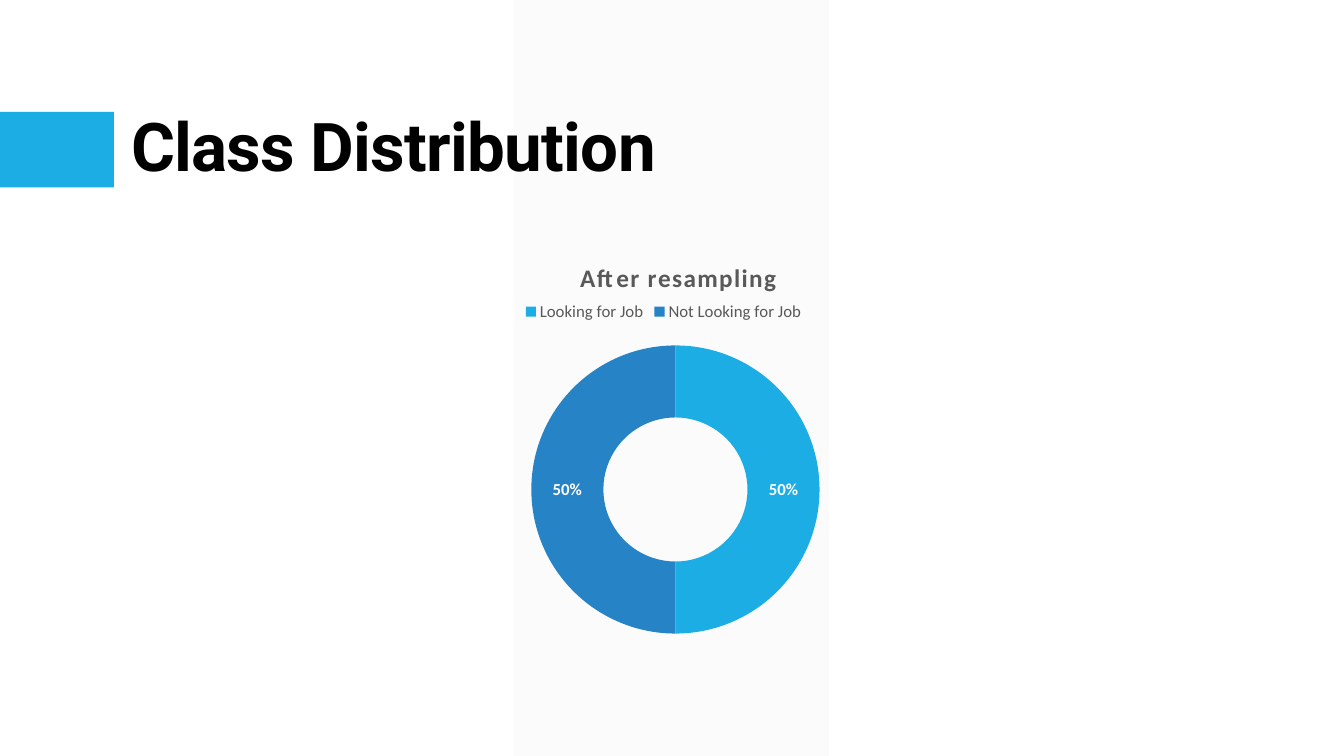
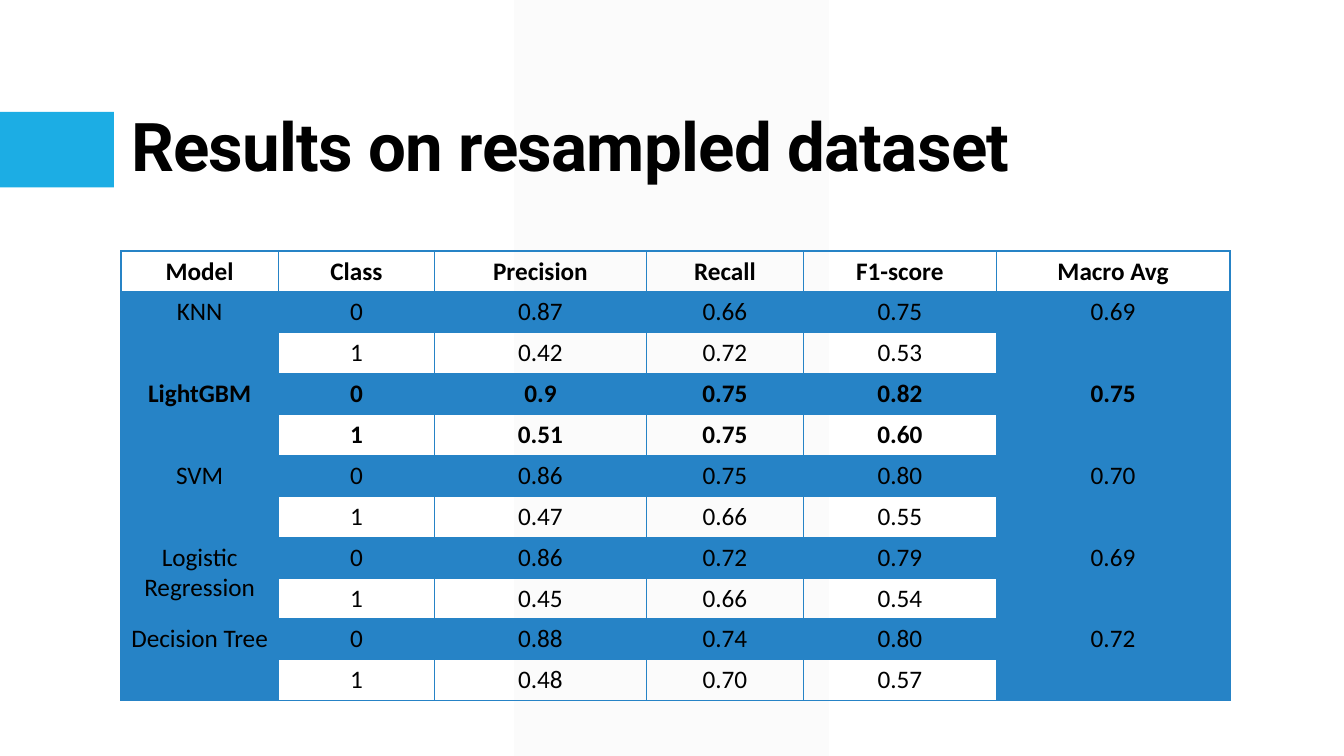
from lxml.etree import SubElement
from pptx import Presentation
from pptx.chart.data import CategoryChartData
from pptx.dml.color import RGBColor
from pptx.enum.chart import XL_CHART_TYPE, XL_LEGEND_POSITION
from pptx.enum.shapes import MSO_SHAPE
from pptx.enum.text import MSO_ANCHOR, PP_ALIGN
from pptx.oxml import parse_xml
from pptx.oxml.ns import nsdecls, qn
from pptx.util import Inches, Pt

# Content
CHART_SLIDE_TITLE = "Class Distribution"
CHART_TITLE = "After resampling"
CLASS_SHARES = {"Looking for Job": 50, "Not Looking for Job": 50}

TABLE_SLIDE_TITLE = "Results on resampled dataset"
HEADERS = ["Model", "Class", "Precision", "Recall", "F1-score", "Macro Avg"]
BEST_MODEL = "LightGBM"
RESULTS = [  # model, scores of class 0, scores of class 1, macro average
    ("KNN", ("0.87", "0.66", "0.75"), ("0.42", "0.72", "0.53"), "0.69"),
    (BEST_MODEL, ("0.9", "0.75", "0.82"), ("0.51", "0.75", "0.60"), "0.75"),
    ("SVM", ("0.86", "0.75", "0.80"), ("0.47", "0.66", "0.55"), "0.70"),
    ("Logistic Regression", ("0.86", "0.72", "0.79"), ("0.45", "0.66", "0.54"), "0.69"),
    ("Decision Tree", ("0.88", "0.74", "0.80"), ("0.48", "0.70", "0.57"), "0.72"),
]

# Shared look
SKY, BLUE, BAND, GREY = "1CADE4", "2683C6", "F2F2F2", "595959"
BLACK, WHITE = "000000", "FFFFFF"
TITLE_FONT, BODY_FONT = "Roboto", "Calibri"
LEFT, CONTENT_WIDTH = 1.2, 11
COLUMN_WIDTHS = [1.56, 1.55, 2.1, 1.56, 1.91, 2.32]
ROW_HEIGHT = 0.4


def color(value):
    return RGBColor.from_string(value)


def style_font(font, size, value, bold=False, name=BODY_FONT):
    font.name, font.size, font.bold = name, Pt(size), bold
    font.color.rgb = color(value)


def fill_solid(fill, value, opacity=100):
    fill.solid()
    fill.fore_color.rgb = color(value)
    if opacity < 100:
        alpha = SubElement(fill._xPr.find(".//" + qn("a:srgbClr")), qn("a:alpha"))
        alpha.set("val", str(opacity * 1000))


def set_border(cell, side, width):
    properties = cell._tc.get_or_add_tcPr()
    line = SubElement(properties, qn("a:ln" + side), w=str(Pt(width)))
    solid = SubElement(line, qn("a:solidFill"))
    SubElement(solid, qn("a:srgbClr"), val=BLUE)


def place_chart_part(element, **fractions):
    """Give a chart part a fixed place, as fractions of the chart frame."""
    old_layout = element.find(qn("c:layout"))
    if old_layout is not None:
        element.remove(old_layout)
    layout = parse_xml(f"<c:layout {nsdecls('c')}><c:manualLayout/></c:layout>")
    manual = layout[0]
    if "w" in fractions:
        SubElement(manual, qn("c:layoutTarget"), val="inner")
    for axis in "xy":
        SubElement(manual, qn(f"c:{axis}Mode"), val="edge")
    for key, fraction in fractions.items():
        SubElement(manual, qn("c:" + key), val=str(fraction))
    overlay = element.find(qn("c:overlay"))
    if overlay is None:
        element.insert(0, layout)
    else:
        overlay.addprevious(layout)


def add_titled_slide(text):
    slide = presentation.slides.add_slide(title_layout)
    title = slide.shapes.title
    title.text_frame.text = text
    title.text_frame.vertical_anchor = MSO_ANCHOR.BOTTOM
    paragraph = title.text_frame.paragraphs[0]
    paragraph.alignment = PP_ALIGN.LEFT
    paragraph.line_spacing = 0.9
    style_font(paragraph.font, 48, BLACK, True, TITLE_FONT)
    paragraph.font._element.set("spc", "-50")
    return slide


def move_to_layout(shape):
    title_layout.shapes._spTree.insert(2, shape._element)


presentation = Presentation()
presentation.slide_width, presentation.slide_height = Inches(13.33), Inches(7.5)
title_layout = presentation.slide_layouts[5]

# Layout: title place only, other placeholders removed
for placeholder in list(title_layout.placeholders):
    if placeholder.placeholder_format.idx == 0:
        placeholder.left, placeholder.top = Inches(LEFT), Inches(0.31)
        placeholder.width, placeholder.height = Inches(CONTENT_WIDTH), Inches(1.59)
    else:
        placeholder._element.getparent().remove(placeholder._element)

chart_slide = add_titled_slide(CHART_SLIDE_TITLE)
table_slide = add_titled_slide(TABLE_SLIDE_TITLE)

# Layout: title marker and pale band, shared by all slides
for kind, left, top, width, height, value, opacity in [
    (MSO_SHAPE.RECTANGLE, 0, 1.11, 1.13, 0.75, SKY, 100),
    (MSO_SHAPE.PARALLELOGRAM, 5.1, 0, 3.12, 7.5, BAND, 30),
]:
    shape = chart_slide.shapes.add_shape(
        kind, Inches(left), Inches(top), Inches(width), Inches(height))
    shape.shadow.inherit = False
    shape.line.fill.background()
    fill_solid(shape.fill, value, opacity)
    if kind == MSO_SHAPE.PARALLELOGRAM:
        shape.adjustments[0] = 0
    move_to_layout(shape)

# Doughnut chart
chart_data = CategoryChartData()
chart_data.categories = list(CLASS_SHARES)
chart_data.add_series("Series 1", list(CLASS_SHARES.values()))
chart = chart_slide.shapes.add_chart(
    XL_CHART_TYPE.DOUGHNUT, Inches(LEFT), Inches(2.29),
    Inches(CONTENT_WIDTH), Inches(4.14), chart_data).chart
style_font(chart.font, 10, BLACK)

chart.has_title = True
chart.chart_title.text_frame.text = CHART_TITLE
title_font = chart.chart_title.text_frame.paragraphs[0].font
style_font(title_font, 18, GREY, True)
title_font._element.set("spc", "100")
place_chart_part(chart.chart_title._element, x=0.41, y=0.06)

chart.has_legend = True
chart.legend.position = XL_LEGEND_POSITION.TOP
chart.legend.include_in_layout = False
style_font(chart.legend.font, 12, GREY)
place_chart_part(chart.legend._element, x=0.36, y=0.16)

plot = chart.plots[0]
plot.vary_by_categories = True
place_chart_part(chart._chartSpace.chart.plotArea, x=0.37, y=0.27, w=0.26, h=0.7)
for index, value in enumerate([SKY, BLUE]):
    point_format = plot.series[0].points[index].format
    fill_solid(point_format.fill, value)
    point_format.line.fill.background()
plot.has_data_labels = True
labels = plot.data_labels
labels.show_percentage, labels.show_value = True, False
labels.number_format, labels.number_format_is_linked = "0%", False
style_font(labels.font, 12, WHITE, True)

# Results table: two rows per model
rows = [HEADERS]
for model, class_0, class_1, average in RESULTS:
    rows += [[model, "0", *class_0, average], ["", "1", *class_1, ""]]
last_column = len(HEADERS) - 1
table = table_slide.shapes.add_table(
    len(rows), len(HEADERS), Inches(LEFT), Inches(2.49),
    Inches(CONTENT_WIDTH), Inches(ROW_HEIGHT * len(rows))).table
table.first_row = table.horz_banding = False
for column, width in zip(table.columns, COLUMN_WIDTHS):
    column.width = Inches(width)

for row_index, row in enumerate(rows):
    table.rows[row_index].height = Inches(ROW_HEIGHT)
    model = rows[row_index - 1 + row_index % 2][0]
    bold = row_index == 0 or model == BEST_MODEL
    for column_index, text in enumerate(row):
        cell = table.cell(row_index, column_index)
        cell.text = text
        paragraph = cell.text_frame.paragraphs[0]
        paragraph.alignment = PP_ALIGN.CENTER
        style_font(paragraph.font, 18, BLACK, bold)
        for side in "LRTB":
            heavy = (row_index, side) in [(0, "B"), (1, "T")]
            set_border(cell, side, 2 if heavy else 1)
        merged = row_index > 0 and column_index in (0, last_column)
        if merged or row_index % 2:
            fill_solid(cell.fill, BLUE, 20)
        else:
            cell.fill.background()

for row_index in range(1, len(rows), 2):
    for column_index in (0, last_column):
        table.cell(row_index, column_index).merge(
            table.cell(row_index + 1, column_index))

presentation.save("out.pptx")
